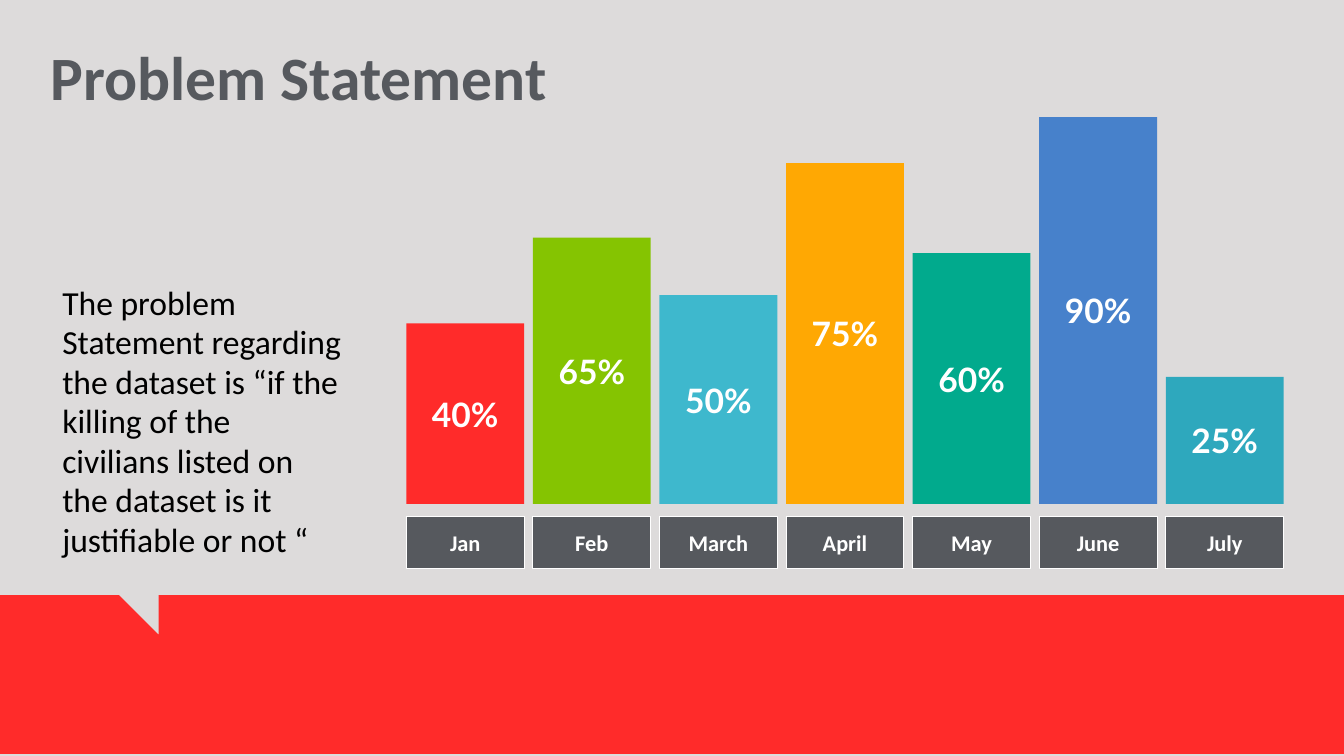
"""Build the Problem Statement slide with its monthly bars and red footer."""
from pptx import Presentation
from pptx import util as u
from pptx.dml.color import RGBColor
from pptx.enum import shapes, text

TITLE = "Problem Statement"
STATEMENT = ("The problem Statement regarding the dataset is “if the killing of "
             "the civilians listed on the dataset is it justifiable or not “")
MONTHS = [
    ("Jan", "40%", 4.55, "red"),
    ("Feb", "65%", 6.71, "green"),
    ("March", "50%", 5.26, "sky"),
    ("April", "75%", 8.59, "orange"),
    ("May", "60%", 6.32, "teal"),
    ("June", "90%", 9.75, "blue"),
    ("July", "25%", 3.2, "cyan"),
]
COLOURS = {
    "background": "DDDBDB", "slate": "56595E", "white": "FFFFFF", "black": "000000",
    "red": "FF2B2A", "green": "85C401", "sky": "3EB8CD", "orange": "FFA803",
    "teal": "01AA8D", "blue": "4781CB", "cyan": "2EA8BD",
}
SLIDE_W, SLIDE_H = 33.87, 19.05
BAR_LEFT, BAR_STEP, BAR_W, BAR_BASE = 10.24, 3.19, 2.97, 12.7
MONTH_TOP, MONTH_H = 13.01, 1.32
FOOTER_TOP = 14.93
FOOTER = [(0, FOOTER_TOP), (2.95, FOOTER_TOP), (3.71, 15.95), (4.47, FOOTER_TOP),
          (SLIDE_W, FOOTER_TOP), (SLIDE_W, SLIDE_H), (0, SLIDE_H)]


def colour(name):
    return RGBColor.from_string(COLOURS[name])


def paint(shape, fill, line=None):
    shape.shadow.inherit = False
    shape.fill.solid()
    shape.fill.fore_color.rgb = colour(fill)
    if line:
        shape.line.color.rgb = colour(line)
        shape.line.width = u.Pt(0.75)
    else:
        shape.line.fill.background()


def write(shape, words, size, ink="white", font="Calibri", bold=True, centred=False,
          anchor=text.MSO_ANCHOR.MIDDLE, spacing=1.0, inset=(0.25, 0.13)):
    frame = shape.text_frame
    frame.word_wrap = True
    frame.vertical_anchor = anchor
    frame.margin_left = frame.margin_right = u.Cm(inset[0])
    frame.margin_top = frame.margin_bottom = u.Cm(inset[1])
    paragraph = frame.paragraphs[0]
    paragraph.text = words
    paragraph.alignment = text.PP_ALIGN.CENTER if centred else text.PP_ALIGN.LEFT
    paragraph.line_spacing = spacing
    paragraph.font.size = u.Pt(size)
    paragraph.font.name = font
    paragraph.font.bold = bold
    paragraph.font.color.rgb = colour(ink)


def add_block(slide, box, words, size, fill, line=None, font="Calibri"):
    block = slide.shapes.add_shape(shapes.MSO_SHAPE.RECTANGLE, *map(u.Cm, box))
    paint(block, fill, line)
    write(block, words, size, font=font, centred=True, inset=(0.33, 0.18))


def main():
    deck = Presentation()
    deck.slide_width, deck.slide_height = u.Cm(SLIDE_W), u.Cm(SLIDE_H)
    slide = deck.slides.add_slide(deck.slide_layouts[6])
    slide.background.fill.solid()
    slide.background.fill.fore_color.rgb = colour("background")

    for index, (month, share, height, fill) in enumerate(MONTHS):
        left = BAR_LEFT + index * BAR_STEP
        add_block(slide, (left, MONTH_TOP, BAR_W, MONTH_H), month, 16, "slate", "white")
        add_block(slide, (left, BAR_BASE - height, BAR_W, height), share, 24, fill,
                  font="Lato")

    statement = slide.shapes.add_textbox(u.Cm(1.32), u.Cm(6.9), u.Cm(7.62), u.Cm(7.35))
    write(statement, STATEMENT, 24, ink="black", bold=False,
          anchor=text.MSO_ANCHOR.BOTTOM, spacing=0.98)

    outline = slide.shapes.build_freeform(*FOOTER[0], scale=u.Cm(1))
    outline.add_line_segments(FOOTER[1:], close=True)
    paint(outline.convert_to_shape(), "red")

    title = slide.shapes.add_textbox(u.Cm(1.02), u.Cm(0.84), u.Cm(16.51), u.Cm(2.13))
    write(title, TITLE, 44, ink="slate", anchor=text.MSO_ANCHOR.TOP)

    deck.save("out.pptx")


if __name__ == "__main__":
    main()
